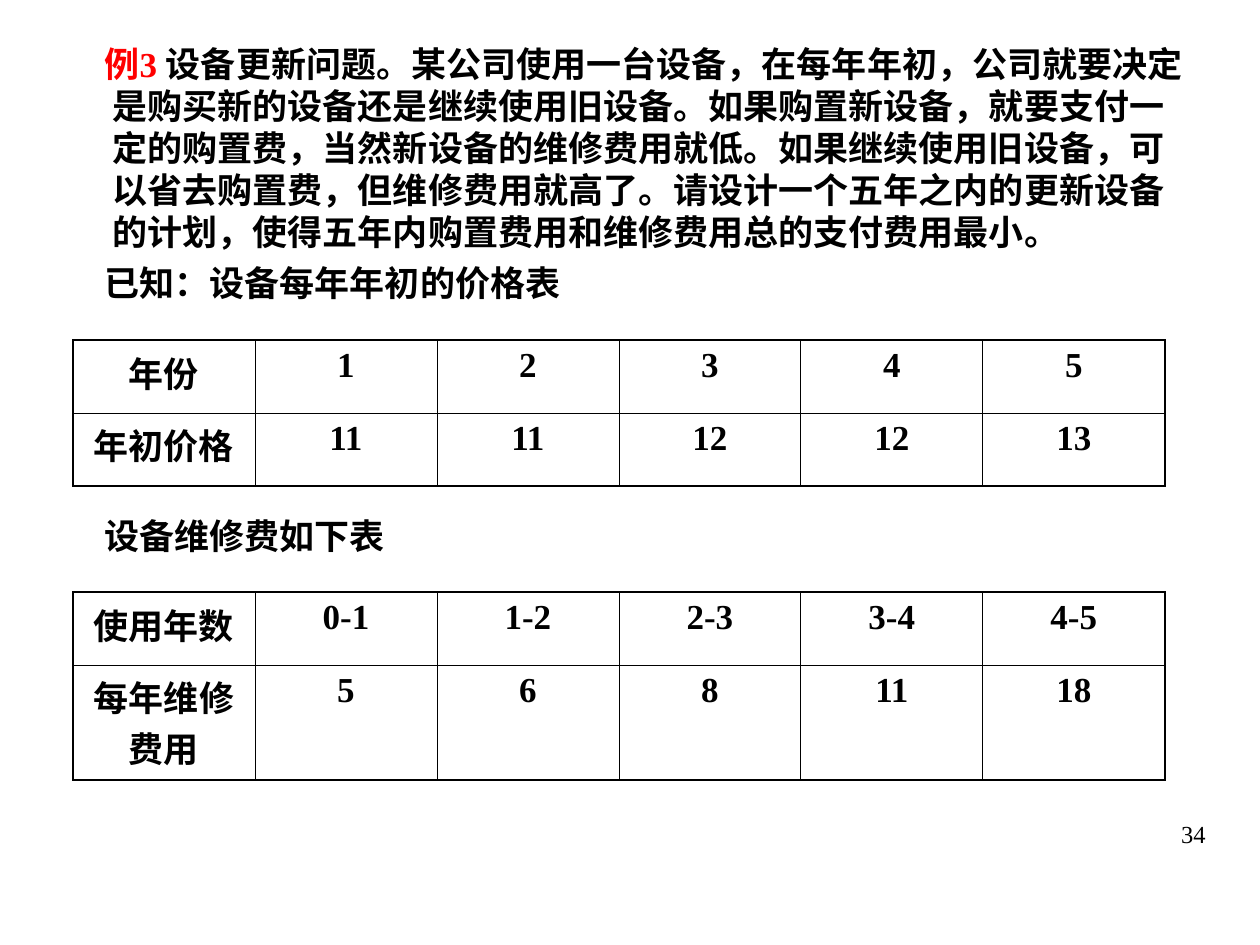
from lxml.etree import SubElement
from pptx import Presentation
from pptx.dml.color import RGBColor
from pptx.enum.text import MSO_AUTO_SIZE as AutoSize, PP_ALIGN as Align
from pptx.oxml.ns import qn
from pptx.util import Emu, Pt

FONT = "Times New Roman"
BLACK, RED = "000000", "FF0000"
THICK, THIN = 1.08, 0.45

STORY = (
    "设备更新问题。某公司使用一台设备，在每年年初，公司就要决定是购买新的设备还是继续使用旧设备。"
    "如果购置新设备，就要支付一定的购置费，当然新设备的维修费用就低。"
    "如果继续使用旧设备，可以省去购置费，但维修费用就高了。"
    "请设计一个五年之内的更新设备的计划，使得五年内购置费用和维修费用总的支付费用最小。"
)
PARAGRAPHS = [
    (0, [("例3 ", RED), (STORY, BLACK)]),
    (5, [("已知：设备每年年初的价格表", BLACK)]),
    (121, [("设备维修费如下表", BLACK)]),
]
PRICES = [
    ["年份", "1", "2", "3", "4", "5"],
    ["年初价格", "11", "11", "12", "12", "13"],
]
REPAIRS = [
    ["使用年数", "0-1", "1-2", "2-3", "3-4", "4-5"],
    ["每年维修费用", "5", "6", "8", "11", "18"],
]


def px(n):
    return Emu(round(n * 914400 / 126))


def rgb(color):
    return RGBColor.from_string(color)


def add_run(p, text, color=BLACK, size=20, bold=True):
    r = p.add_run()
    r.text = text
    r.font.name = FONT
    r.font.size = Pt(size)
    r.font.bold = bold
    r.font.color.rgb = rgb(color)


def set_borders(cell, widths):
    tc_pr = cell._tc.get_or_add_tcPr()
    for i, (side, width) in enumerate(widths.items()):
        ln = SubElement(tc_pr, qn(f"a:{side}"), w=str(Pt(width)))
        fill = SubElement(ln, qn("a:solidFill"))
        SubElement(fill, qn("a:srgbClr"), val=BLACK)
        tc_pr.remove(ln)
        tc_pr.insert(i, ln)


def add_problem(s, x, y, w, h):
    sp = s.placeholders[1]
    sp.left, sp.top, sp.width, sp.height = px(x), px(y), px(w), px(h)
    tf = sp.text_frame
    tf.word_wrap = True
    tf.auto_size = AutoSize.NONE
    for i, (before, runs) in enumerate(PARAGRAPHS):
        p = tf.paragraphs[0] if i == 0 else tf.add_paragraph()
        p_pr = p._p.get_or_add_pPr()
        p_pr.set("marL", str(px(47)))
        p_pr.set("indent", str(px(-8)))
        SubElement(p_pr, qn("a:buNone"))
        p.space_before = Pt(before)
        p.line_spacing = Pt(24)
        for text, color in runs:
            add_run(p, text, color)


def add_grid(s, x, y, col_w, row_heights, rows):
    n_rows, n_cols = len(rows), len(rows[0])
    frame = s.shapes.add_table(
        n_rows, n_cols, px(x), px(y), px(col_w * n_cols), px(sum(row_heights))
    )
    table = frame.table
    table.first_row = table.horz_banding = False
    for col in table.columns:
        col.width = px(col_w)
    for i, values in enumerate(rows):
        table.rows[i].height = px(row_heights[i])
        for j, value in enumerate(values):
            cell = table.cell(i, j)
            cell.fill.background()
            set_borders(cell, {
                "lnL": THICK if j == 0 else THIN,
                "lnR": THICK if j == n_cols - 1 else THIN,
                "lnT": THICK if i == 0 else THIN,
                "lnB": THICK if i == n_rows - 1 else THIN,
            })
            p = cell.text_frame.paragraphs[0]
            p.alignment = Align.CENTER
            add_run(p, value)


def add_page_number(s, x, y, w, h):
    tf = s.shapes.add_textbox(px(x), px(y), px(w), px(h)).text_frame
    tf.word_wrap = True
    p = tf.paragraphs[0]
    p.alignment = Align.RIGHT
    add_run(p, "34", size=14, bold=False)


def main():
    prs = Presentation()
    prs.slide_width, prs.slide_height = px(1260), px(945)
    s = prs.slides.add_slide(prs.slide_layouts[1])
    title = s.shapes.title._element
    title.getparent().remove(title)
    add_page_number(s, 1124, 813, 94, 63)
    add_problem(s, 53, 36, 1155, 766)
    add_grid(s, 73, 340, 182, [73, 73], PRICES)
    add_grid(s, 73, 592, 182, [73, 115], REPAIRS)
    prs.save("out.pptx")


if __name__ == "__main__":
    main()
